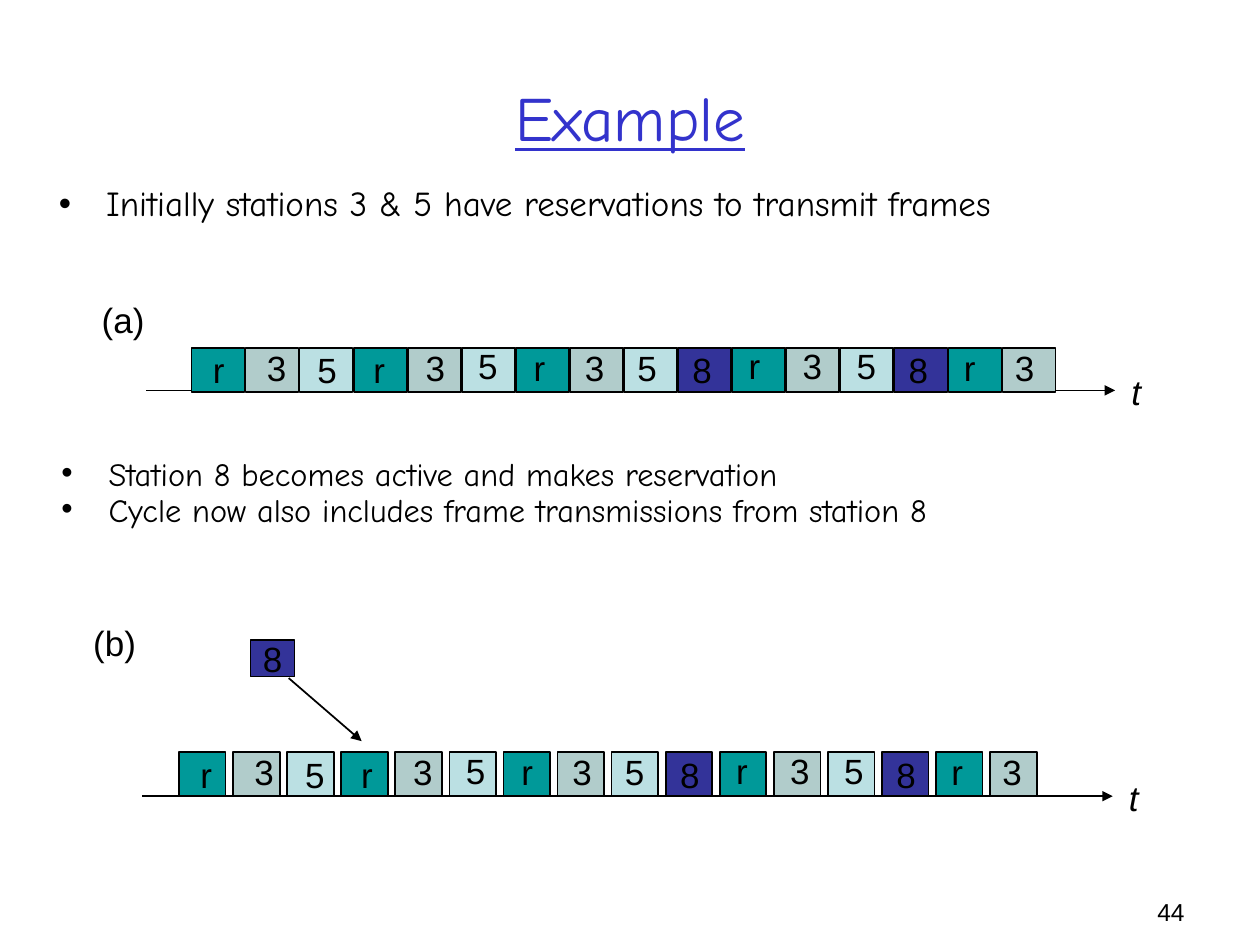
from lxml import etree
from pptx import Presentation
from pptx.dml.color import RGBColor
from pptx.enum.shapes import MSO_CONNECTOR, MSO_SHAPE
from pptx.enum.text import MSO_ANCHOR, PP_ALIGN
from pptx.oxml.ns import qn
from pptx.util import Cm, Pt

LINE = MSO_CONNECTOR.STRAIGHT
RECT = MSO_SHAPE.RECTANGLE
MIDDLE = MSO_ANCHOR.MIDDLE
LEFT, CENTER, RIGHT = PP_ALIGN.LEFT, PP_ALIGN.CENTER, PP_ALIGN.RIGHT

BLACK = RGBColor(0x00, 0x00, 0x00)
BLUE = RGBColor(0x33, 0x33, 0xCC)
NAVY = RGBColor(0x33, 0x33, 0x99)
TEAL = RGBColor(0x00, 0x99, 0x99)
GREY = RGBColor(0xB1, 0xCC, 0xCB)
PALE = RGBColor(0xBB, 0xE0, 0xE3)

FILLS = {"r": TEAL, "3": GREY, "5": PALE, "8": NAVY}
SLOTS = "r35r35r358r358r3"
SHIFTS = [0.18, 0.18, 0.11, 0.15, 0.11, 0.08, 0.11, 0.05,
          0.02, 0.04, 0.08, 0.08, 0.08, 0.04, 0.06, 0]
RISES = [0.1, 0.15, 0.1, 0.1, 0.15, 0.18, 0.15, 0.15,
         0.15, 0.1, 0.18, 0.18, 0.18, 0.1, 0.15, 0.15]
PITCH = 1.09


class Board:
    plain = "Arial"
    comic = "Comic Neue"
    size = 20

    def __init__(self, slide):
        self.slide = slide

    def text(self, words, x, y, w, h=1.09, size=size, font=plain,
             color=BLACK, align=LEFT, italic=False, under=False):
        box = self.slide.shapes.add_textbox(Cm(x), Cm(y), Cm(w), Cm(h))
        frame = box.text_frame
        frame.word_wrap = True
        frame.text = words
        for para in frame.paragraphs:
            para.alignment = align
            for run in para.runs:
                run.font.name = font
                run.font.size = Pt(size)
                run.font.color.rgb = color
                run.font.italic = italic
                run.font.underline = under
        return frame

    def title(self, words):
        frame = self.text(words, 1.27, 0.76, 22.86, 3.18, 36, self.comic,
                          BLUE, CENTER, under=True)
        frame.vertical_anchor = MIDDLE

    def points(self, lines, x, y, size, space):
        frame = self.text("\n".join(lines), x, y, 23.01, 1.6, size, self.comic)
        for para in frame.paragraphs:
            para.line_spacing = space
            para.space_before = Pt(5)
            props = para._p.get_or_add_pPr()
            props.set("marL", str(Cm(0.95)))
            props.set("indent", str(-Cm(0.95)))
            etree.SubElement(props, qn("a:buFont")).set("typeface", self.plain)
            etree.SubElement(props, qn("a:buChar")).set("char", "•")

    def block(self, fill, x, y, w, h):
        shape = self.slide.shapes.add_shape(RECT, Cm(x), Cm(y), Cm(w), Cm(h))
        shape.shadow.inherit = False
        shape.fill.solid()
        shape.fill.fore_color.rgb = fill
        shape.line.color.rgb = BLACK
        shape.line.width = Pt(1)

    def arrow(self, x, y, end_x, end_y):
        line = self.slide.shapes.add_connector(
            LINE, Cm(x), Cm(y), Cm(end_x), Cm(end_y))
        line.line.color.rgb = BLACK
        line.line.width = Pt(1)
        stroke = line.line._get_or_add_ln()
        etree.SubElement(stroke, qn("a:tailEnd")).set("type", "triangle")
        etree.SubElement(stroke.getparent(), qn("a:effectLst"))

    def axis(self, x, y, end):
        self.arrow(x, y, end, y)
        self.text("t", end + 0.08, y - 0.52, 0.9, italic=True)

    def frames(self, x, y, w):
        for i, name in enumerate(SLOTS):
            self.block(FILLS[name], x + i * PITCH, y, w, 0.89)
        for i, (name, shift, rise) in enumerate(zip(SLOTS, SHIFTS, RISES)):
            wide = 0.7 if name == "r" else 0.8
            self.text(name, x + i * PITCH + shift, y - rise, wide)


def main():
    deck = Presentation()
    deck.slide_width, deck.slide_height = Cm(25.4), Cm(19.05)
    board = Board(deck.slides.add_slide(deck.slide_layouts[6]))

    board.axis(2.95, 7.87, 22.48)
    board.frames(3.86, 7.01, 1.07)
    board.text("(a)", 1.8, 5.89, 1.45)

    board.axis(2.87, 16.05, 22.43)
    board.frames(3.61, 15.16, 0.94)
    board.block(NAVY, 5.05, 12.9, 0.89, 0.74)
    board.text("8", 5.05, 12.73, 0.8)
    board.arrow(5.82, 13.67, 7.29, 14.94)
    board.text("(b)", 1.63, 12.4, 1.45)

    board.title("Example")
    board.points(
        ["Initially stations 3 & 5 have reservations to transmit frames"],
        0.94, 3.63, 20, 0.9)
    board.points(
        ["Station 8 becomes active and makes reservation",
         "Cycle now also includes frame transmissions from station 8"],
        0.99, 9.25, 18.5, 0.7)
    board.text("44", 18.21, 17.96, 5.92, 0.71, 14, align=RIGHT)
    deck.save("out.pptx")


if __name__ == "__main__":
    main()
